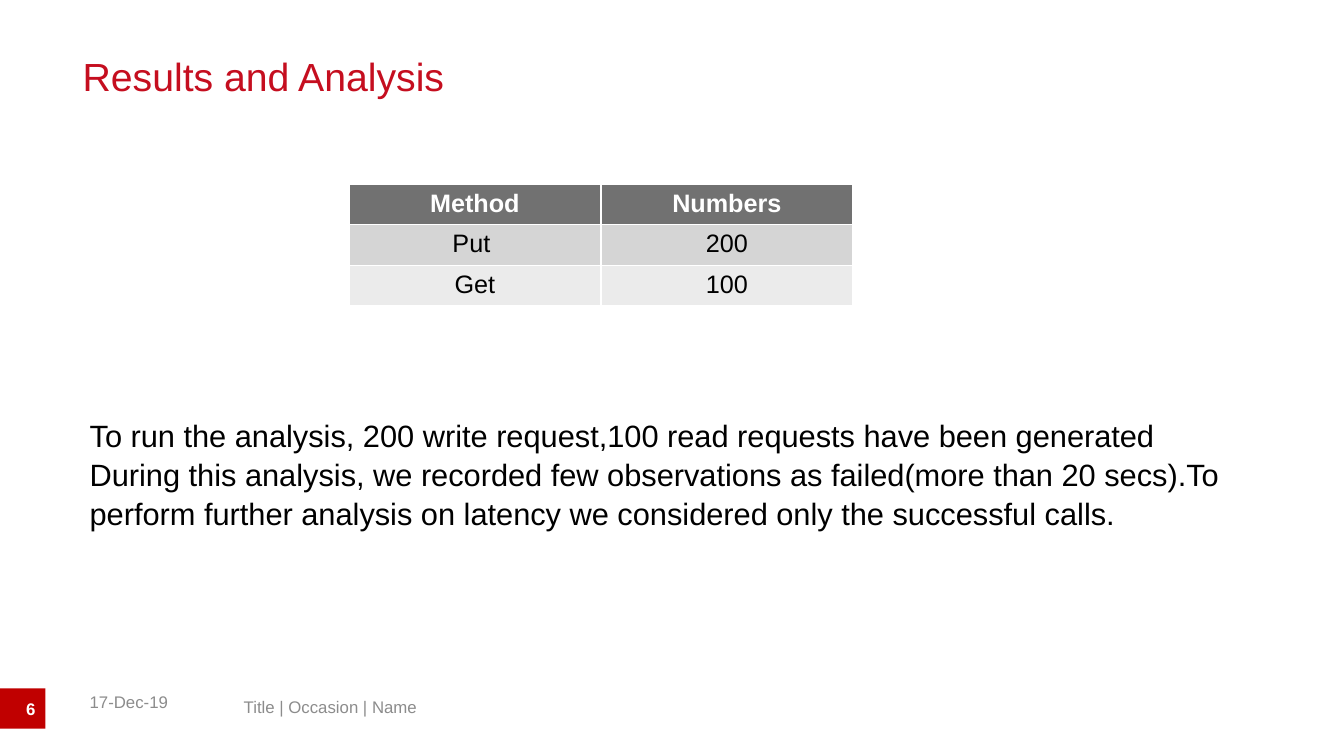
"""Build the results slide: a request-count table, findings and a footer."""
from dataclasses import dataclass

from pptx import Presentation
from pptx.dml.color import RGBColor
from pptx.enum.shapes import MSO_SHAPE
from pptx.enum.text import MSO_ANCHOR, PP_ALIGN
from pptx.slide import Slide
from pptx.util import Inches, Pt

WIDTH, HEIGHT = Inches(13.33), Inches(7.5)
FONT = "Arial"
RED, WHITE, BLACK, GREY = "C00000", "FFFFFF", "000000", "8C8C8C"
LEFT = 5.93
FOOTER_TOP, FOOTER_HEIGHT = 90.8, 5.33


@dataclass(frozen=True)
class Box:
    """A rectangle in percent of the slide's width and height."""
    left: float
    top: float
    width: float
    height: float

    def emu(self) -> tuple[int, int, int, int]:
        return (int(WIDTH * self.left / 100), int(HEIGHT * self.top / 100),
                int(WIDTH * self.width / 100), int(HEIGHT * self.height / 100))


@dataclass(frozen=True)
class Style:
    size: int
    color: str
    bold: bool = False
    align: PP_ALIGN = PP_ALIGN.LEFT
    spacing: float = 1.0


@dataclass(frozen=True)
class TextBlock:
    box: Box
    lines: tuple[str, ...]
    style: Style
    anchor: MSO_ANCHOR = MSO_ANCHOR.TOP
    inset: tuple[float, float] = (0.1, 0.05)
    fill: str | None = None


BLOCKS = (
    TextBlock(Box(LEFT, 6.93, 70.89, 11.87), ("Results and Analysis",),
              Style(28, "C50E1F"), inset=(0.03, 0)),
    TextBlock(Box(0, 91.07, 3.38, FOOTER_HEIGHT), ("6",),
              Style(12, WHITE, True, PP_ALIGN.RIGHT), MSO_ANCHOR.MIDDLE, fill=RED),
    TextBlock(Box(17.4, FOOTER_TOP, 54.61, FOOTER_HEIGHT),
              ("Title | Occasion | Name",), Style(12, GREY), MSO_ANCHOR.MIDDLE),
    TextBlock(Box(LEFT, FOOTER_TOP, 8.03, FOOTER_HEIGHT), ("17-Dec-19",),
              Style(12, GREY)),
    TextBlock(Box(LEFT, 54.27, 90.25, 16.13), (
        "To run the analysis, 200 write request,100 read requests have been generated",
        "During this analysis, we recorded few observations as failed(more than 20 secs)."
        "To perform further analysis on latency we considered only the successful calls.",
    ), Style(22, BLACK, spacing=1.05)),
)

TABLE_BOX = Box(25.96, 24.4, 37.5, 16)
HEADER = Style(18, WHITE, True, PP_ALIGN.CENTER)
BODY = Style(18, BLACK, False, PP_ALIGN.CENTER)
ROWS = (
    (("Method", "Numbers"), "717171", HEADER),
    (("Put ", "200"), "D5D5D5", BODY),
    (("Get", "100"), "EBEBEB", BODY),
)


def rgb(color: str) -> RGBColor:
    return RGBColor.from_string(color)


def write(tf, lines: tuple[str, ...], style: Style) -> None:
    tf.text = "\n".join(lines)
    for p in tf.paragraphs:
        p.alignment = style.align
        p.line_spacing = style.spacing
        p.font.name = FONT
        p.font.size = Pt(style.size)
        p.font.bold = style.bold
        p.font.color.rgb = rgb(style.color)


def add_block(slide: Slide, block: TextBlock) -> None:
    if block.fill:
        sp = slide.shapes.add_shape(MSO_SHAPE.RECTANGLE, *block.box.emu())
        sp.shadow.inherit = False
        sp.fill.solid()
        sp.fill.fore_color.rgb = rgb(block.fill)
        sp.line.fill.background()
    else:
        sp = slide.shapes.add_textbox(*block.box.emu())
    tf = sp.text_frame
    tf.word_wrap = True
    tf.vertical_anchor = block.anchor
    tf.margin_left = tf.margin_right = Inches(block.inset[0])
    tf.margin_top = tf.margin_bottom = Inches(block.inset[1])
    write(tf, block.lines, block.style)


def add_request_table(slide: Slide) -> None:
    table = slide.shapes.add_table(len(ROWS), len(ROWS[0][0]), *TABLE_BOX.emu()).table
    for row, (texts, fill, style) in zip(table.rows, ROWS):
        for cell, text in zip(row.cells, texts):
            cell.fill.solid()
            cell.fill.fore_color.rgb = rgb(fill)
            write(cell.text_frame, (text,), style)


def main() -> None:
    prs = Presentation()
    prs.slide_width, prs.slide_height = WIDTH, HEIGHT
    slide = prs.slides.add_slide(prs.slide_layouts[6])
    for block in BLOCKS:
        add_block(slide, block)
    add_request_table(slide)
    prs.save("out.pptx")


if __name__ == "__main__":
    main()
